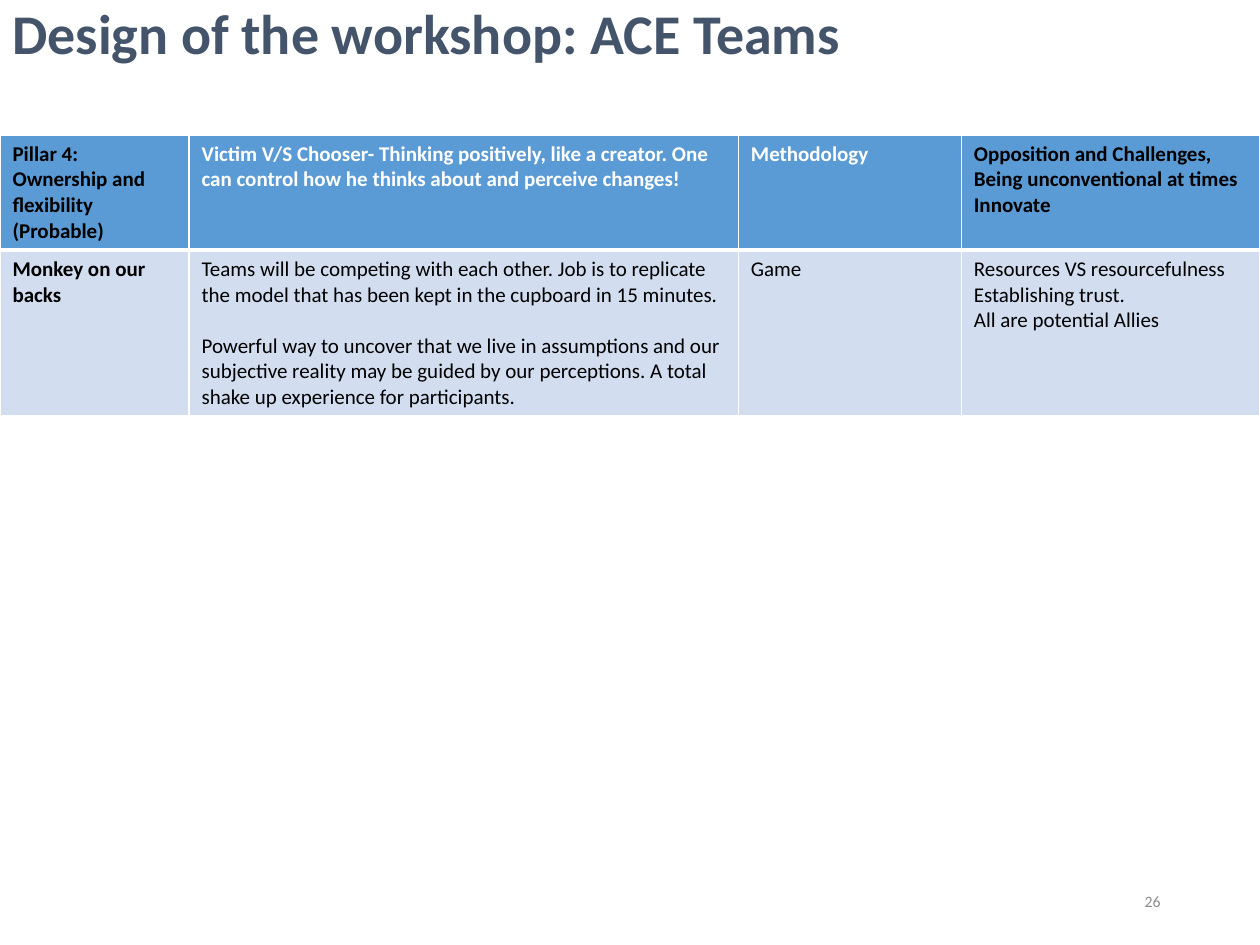
from dataclasses import dataclass

from lxml import etree
from pptx import Presentation
from pptx import util as u
from pptx.dml.color import RGBColor
from pptx.enum import text
from pptx.oxml.ns import qn


@dataclass(frozen=True)
class Theme:
    """Colours, type sizes and rules of the slide."""
    font: str = "Calibri"
    title: str = "44546A"
    header: str = "5B9BD5"
    body: str = "D2DEEF"
    dark: str = "000000"
    light: str = "FFFFFF"
    muted: str = "8C8C8C"
    title_pt: int = 32
    table_pt: int = 12
    number_pt: int = 9
    thin_pt: int = 1
    thick_pt: int = 3
    gap_pt: float = 14.6


T = Theme()
COLUMNS = (0.15, 0.436, 0.177, 0.237)
ROWS = (0.41, 0.59)
HEADER = (
    (["Pillar 4: Ownership and flexibility (Probable)"], T.dark),
    (["Victim V/S Chooser- Thinking positively, like a creator. "
      "One can control how he thinks about and perceive changes!"], T.light),
    (["Methodology"], T.light),
    (["Opposition and Challenges, Being unconventional at times",
      "Innovate"], T.dark),
)
ACTIVITY = (
    ["Monkey on our backs"],
    ["Teams will be competing with each other. Job is to replicate "
     "the model that has been kept in the cupboard in 15 minutes.",
     "Powerful way to uncover that we live in assumptions and our "
     "subjective reality may be guided by our perceptions. A total "
     "shake up experience for participants."],
    ["Game"],
    ["Resources VS resourcefulness", "Establishing trust.",
     "All are potential Allies"],
)


def write(tf, lines, size, color, bold=False, **layout):
    """Fill a text frame with evenly formatted paragraphs."""
    tf.word_wrap = True
    for i, line in enumerate(lines):
        p = tf.paragraphs[0] if i == 0 else tf.add_paragraph()
        r = p.add_run()
        r.text = line
        r.font.color.rgb = RGBColor.from_string(color)
        for name, value in dict(name=T.font, size=u.Pt(size), bold=bold).items():
            setattr(r.font, name, value)
        for name, value in layout.items():
            if i or name != "space_before":
                setattr(p, name, value)


def add_label(s, box, anchor, *args, **kwargs):
    """Place one text box in the given box."""
    tf = s.shapes.add_textbox(*box).text_frame
    tf.vertical_anchor = anchor
    write(tf, *args, **kwargs)


def style_cell(cell, fill, bottom):
    """Give a cell white borders and a solid fill."""
    pr = cell._tc.get_or_add_tcPr()
    for side in "LRTB":
        width = bottom if side == "B" else T.thin_pt
        ln = etree.SubElement(pr, qn(f"a:ln{side}"), w=str(u.Pt(width)))
        solid = etree.SubElement(ln, qn("a:solidFill"))
        etree.SubElement(solid, qn("a:srgbClr"), val=T.light)
    cell.fill.solid()
    cell.fill.fore_color.rgb = RGBColor.from_string(fill)


def add_plan(s, box):
    """Place the workshop table in the given box."""
    table = s.shapes.add_table(len(ROWS), len(COLUMNS), *box).table
    table.horz_banding = False
    for row, share in zip(table.rows, ROWS):
        row.height = int(box[3] * share)
    for c, share in enumerate(COLUMNS):
        table.columns[c].width = int(box[2] * share)
        head, body = table.cell(0, c), table.cell(1, c)
        lines, color = HEADER[c]
        style_cell(head, T.header, T.thick_pt)
        write(head.text_frame, lines, T.table_pt, color, True)
        style_cell(body, T.body, T.thin_pt)
        gap = {"space_before": u.Pt(T.gap_pt)} if c == 1 else {}
        write(body.text_frame, ACTIVITY[c], T.table_pt, T.dark, c == 0, **gap)


def main():
    """Build and save the slide."""
    prs = Presentation()
    prs.slide_width, prs.slide_height = u.Inches(10), u.Inches(7.5)
    s = prs.slides.add_slide(prs.slide_layouts[6])

    def area(x, y, w, h):
        """Turn shares of the slide into a box."""
        return [int(v * size) for v, size in
                zip((x, y, w, h), (prs.slide_width, prs.slide_height) * 2)]

    add_label(s, area(0.706, 0.927, 0.225, 0.053), text.MSO_ANCHOR.MIDDLE,
              ["26"], T.number_pt, T.muted, alignment=text.PP_ALIGN.RIGHT)
    add_plan(s, area(0, 0.143, 1, 0.297))
    add_label(s, area(0, 0, 1, 0.104), text.MSO_ANCHOR.TOP,
              ["Design of the workshop: ACE Teams"], T.title_pt, T.title, True,
              line_spacing=0.9)
    prs.save("out.pptx")


if __name__ == "__main__":
    main()
